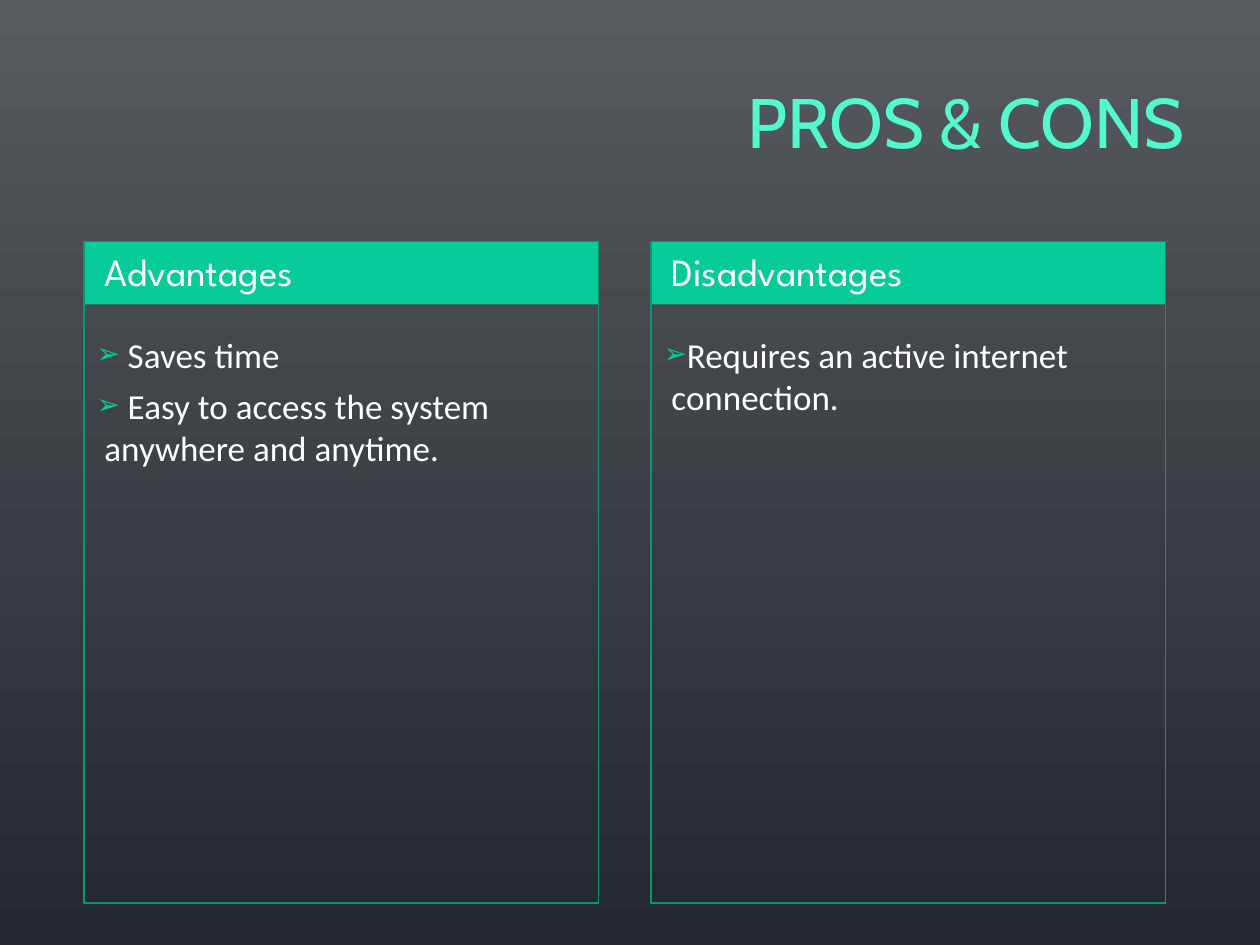
from pptx import Presentation
from pptx.dml.color import RGBColor
from pptx.enum.shapes import MSO_SHAPE
from pptx.enum.text import MSO_ANCHOR, MSO_AUTO_SIZE, PP_ALIGN
from pptx.oxml.xmlchemy import OxmlElement
from pptx.util import Pt

RECTANGLE = MSO_SHAPE.RECTANGLE
TOP, MIDDLE = MSO_ANCHOR.TOP, MSO_ANCHOR.MIDDLE
NO_AUTOFIT = MSO_AUTO_SIZE.NONE
LEFT, RIGHT = PP_ALIGN.LEFT, PP_ALIGN.RIGHT

TITLE = "PROS & CONS"
COLUMNS = [
    ("Advantages", [" Saves time", " Easy to access the system anywhere and anytime."]),
    ("Disadvantages", ["Requires an active internet connection."]),
]

THEME = {
    "bg": ("575A5F", "23272E"),
    "band": "07CB98",
    "border": "059872",
    "title": ("Cabin", 40, "51F9CD"),
    "heading": ("League Spartan", 22, "FFFFFF"),
    "item": ("Calibri", 20, "FFFFFF"),
}

SLIDE_W, SLIDE_H = 720, 540
TITLE_BOX = (30, 36, 654, 66)
COLUMN_X, COLUMN_Y, COLUMN_STEP = 48, 138, 324
COLUMN_W, COLUMN_H, BAND_H = 294, 378, 36
INDENT = 4.5
FIRST_ITEM_GAP, ITEM_GAP = 22.5, 5


def color(value):
    return RGBColor.from_string(value)


def place(s, x, y, w, h):
    s.left, s.top, s.width, s.height = Pt(x), Pt(y), Pt(w), Pt(h)


def setup_text(s, anchor):
    tf = s.text_frame
    tf.word_wrap = True
    tf.auto_size = NO_AUTOFIT
    tf.vertical_anchor = anchor
    tf.margin_left = tf.margin_right = Pt(7.2)
    tf.margin_top = tf.margin_bottom = Pt(3.6)
    return tf


def write(p, text, style, align=LEFT, before=0):
    p.alignment = align
    p.space_before = Pt(before)
    r = p.add_run()
    r.text = text
    r.font.name, size, rgb = THEME[style]
    r.font.size = Pt(size)
    r.font.color.rgb = color(rgb)


def set_bullet(p, char=None):
    pPr = p._p.get_or_add_pPr()
    pPr.set("marL", str(Pt(INDENT)))
    pPr.set("indent", str(-Pt(INDENT) if char else 0))
    if not char:
        pPr.append(OxmlElement("a:buNone"))
        return
    bu_color = OxmlElement("a:buClr")
    rgb = OxmlElement("a:srgbClr")
    rgb.set("val", THEME["band"])
    bu_color.append(rgb)
    bu_size = OxmlElement("a:buSzPct")
    bu_size.set("val", "80000")
    bu_char = OxmlElement("a:buChar")
    bu_char.set("char", char)
    for element in (bu_color, bu_size, bu_char):
        pPr.append(element)


def add_band(slide, x):
    s = slide.shapes.add_shape(RECTANGLE, Pt(x), Pt(COLUMN_Y), Pt(COLUMN_W), Pt(BAND_H))
    s.shadow.inherit = False
    s.fill.solid()
    s.fill.fore_color.rgb = color(THEME["band"])
    s.line.fill.background()
    slide.shapes._spTree.insert(2, s._element)


def fill_column(s, x, heading, items):
    place(s, x, COLUMN_Y, COLUMN_W, COLUMN_H)
    s.line.color.rgb = color(THEME["border"])
    s.line.width = Pt(0.75)
    tf = setup_text(s, TOP)
    p = tf.paragraphs[0]
    write(p, heading, "heading", before=5.5)
    set_bullet(p)
    for i, item in enumerate(items):
        p = tf.add_paragraph()
        write(p, item, "item", before=ITEM_GAP if i else FIRST_ITEM_GAP)
        set_bullet(p, "➢")


prs = Presentation()
prs.slide_width, prs.slide_height = Pt(SLIDE_W), Pt(SLIDE_H)
slide = prs.slides.add_slide(prs.slide_layouts[3])

fill = slide.background.fill
fill.gradient()
fill.gradient_angle = 270
for stop, rgb, position in zip(fill.gradient_stops, THEME["bg"], (0, 1)):
    stop.color.rgb = color(rgb)
    stop.position = position

title = slide.shapes.title
place(title, *TITLE_BOX)
write(setup_text(title, MIDDLE).paragraphs[0], TITLE, "title", RIGHT)

for i, (heading, items) in enumerate(COLUMNS):
    x = COLUMN_X + i * COLUMN_STEP
    add_band(slide, x)
    fill_column(slide.placeholders[i + 1], x, heading, items)

prs.save("out.pptx")
